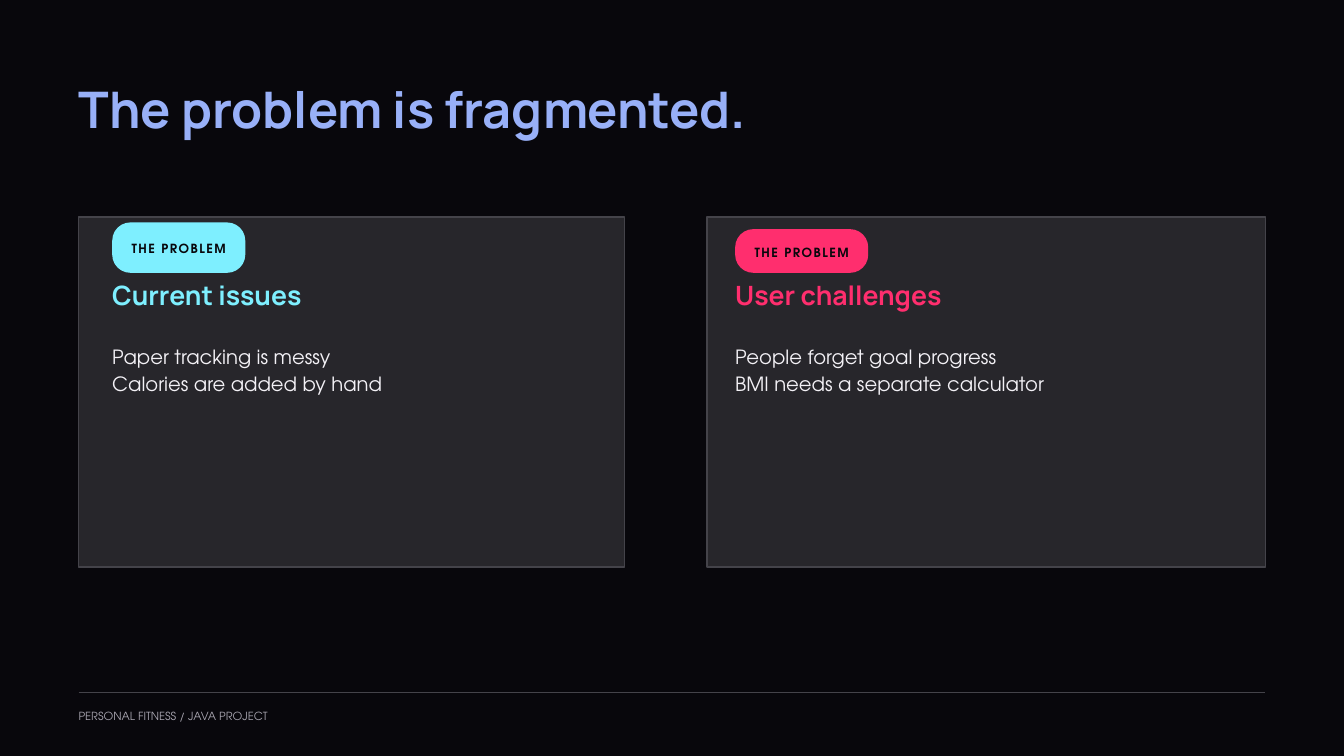
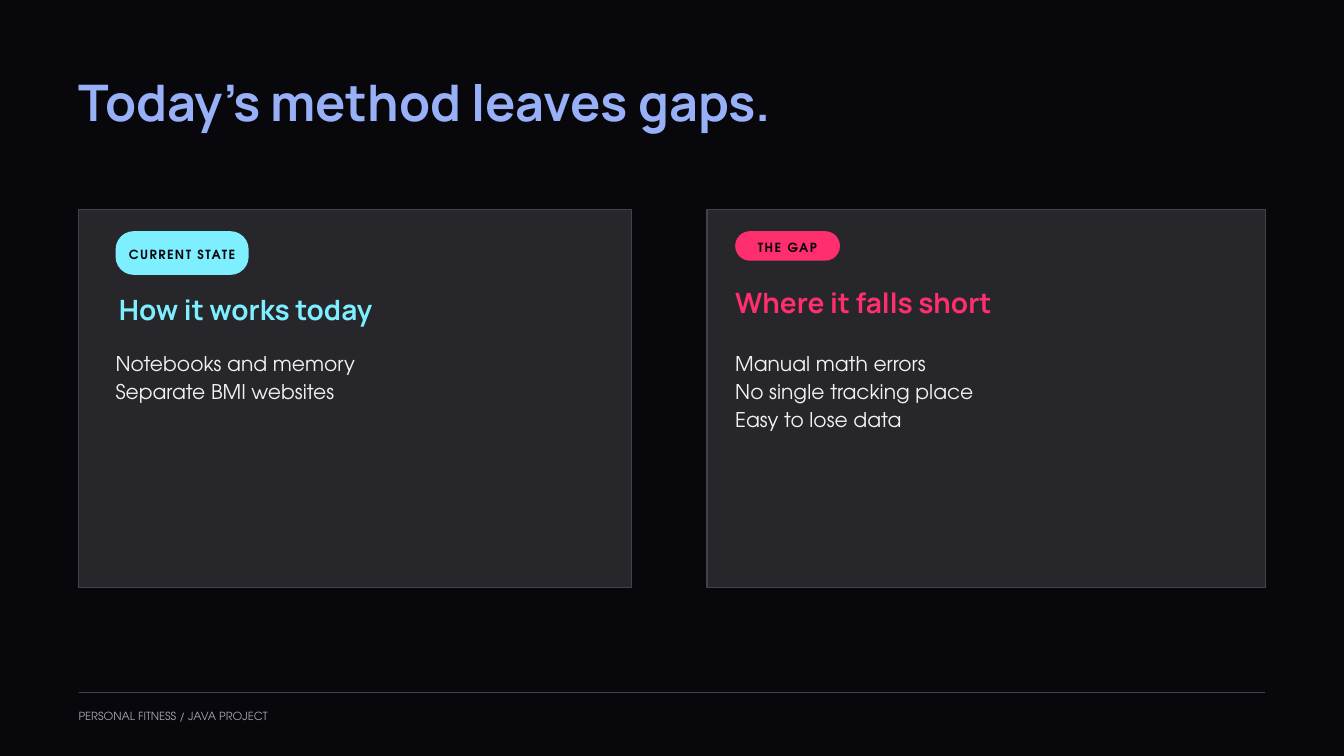
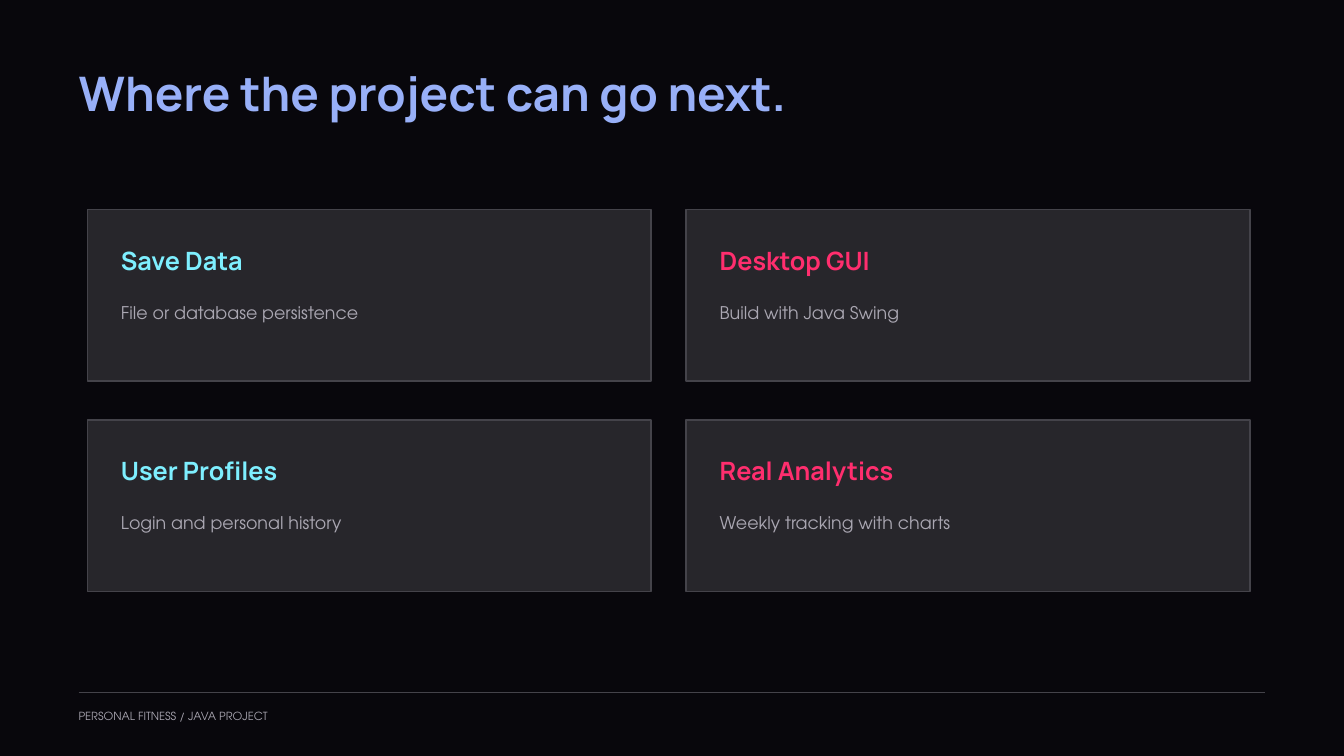
"""Build three dark slides on the problem, the gaps and the next steps of a fitness project."""
from dataclasses import dataclass

import pptx
import pptx.dml.color
import pptx.enum.shapes
import pptx.enum.text
import pptx.util
from lxml import etree
from pptx.util import Inches


@dataclass(frozen=True)
class TextStyle:
    font: str
    size: float
    leading: float
    color: str
    bold: bool = False
    tracking: float = 0


class Theme:
    background = "08070C"
    card = "27262B"
    rule = "44434A"
    title = "98B0F8"
    text = "F3F1F6"
    muted = "AAA7B2"
    cyan = "7EEFFF"
    pink = "FF2E6E"
    display = "Manrope"
    body = "TeX Gyre Adventor"
    card_line = 1.5
    footer_line = 0.75
    pill_radius = 0.27
    footer_style = TextStyle(body, 12, 16.2, muted)
    pill_style = TextStyle(body, 13.5, 18.9, background, True, 1.6)


SLIDE_WIDTH, SLIDE_HEIGHT = 20, 11.25
MARGIN = 1.17
FOOTER = "PERSONAL FITNESS / JAVA PROJECT"

COMPARISONS = [
    {
        "title": "The problem is fragmented.", "title_box": (1.27, 11.46, 0.87),
        "card_top": 3.23, "card_height": 5.21,
        "heading_size": 28.5, "heading_leading": 29.9, "heading_box": (6.25, 0.46),
        "body_size": 21, "body_leading": 29, "body_top": 5.08, "body_width": 6.25,
        "cards": [
            {"left": 1.17, "width": 8.12, "color": Theme.cyan,
             "label": "THE PROBLEM", "pill": (1.67, 3.31, 1.98, 0.75),
             "heading": "Current issues", "heading_at": (1.67, 4.21),
             "lines": ["Paper tracking is messy", "Calories are added by hand"]},
            {"left": 10.52, "width": 8.31, "color": Theme.pink,
             "label": "THE PROBLEM", "pill": (10.94, 3.41, 1.98, 0.65),
             "heading": "User challenges", "heading_at": (10.94, 4.21),
             "lines": ["People forget goal progress", "BMI needs a separate calculator"]},
        ],
    },
    {
        "title": "Today’s method leaves gaps.", "title_box": (1.17, 12.5, 0.87),
        "card_top": 3.12, "card_height": 5.62,
        "heading_size": 30, "heading_leading": 31.5, "heading_box": (6.35, 0.48),
        "body_size": 21.75, "body_leading": 30, "body_top": 5.17, "body_width": 6.46,
        "cards": [
            {"left": 1.17, "width": 8.23, "color": Theme.cyan,
             "label": "CURRENT STATE", "pill": (1.72, 3.44, 1.98, 0.65),
             "heading": "How it works today", "heading_at": (1.77, 4.41),
             "lines": ["Notebooks and memory", "Separate BMI websites"]},
            {"left": 10.52, "width": 8.31, "color": Theme.pink,
             "label": "THE GAP", "pill": (10.94, 3.44, 1.56, 0.44),
             "heading": "Where it falls short", "heading_at": (10.94, 4.31),
             "lines": ["Manual math errors", "No single tracking place", "Easy to lose data"]},
        ],
    },
]

NEXT_TITLE = "Where the project can go next."
NEXT_STEPS = [
    ("Save Data", "File or database persistence"),
    ("Desktop GUI", "Build with Java Swing"),
    ("User Profiles", "Login and personal history"),
    ("Real Analytics", "Weekly tracking with charts"),
]
GRID_LEFT, GRID_TOP = 1.3, 3.12
GRID_STEP_X, GRID_STEP_Y = 8.91, 3.13
STEP_WIDTH, STEP_HEIGHT = 8.39, 2.55


def rgb(color):
    return pptx.dml.color.RGBColor.from_string(color)


def write(frame, lines, style, align=None):
    frame.text = "\n".join(lines)
    for para in frame.paragraphs:
        para.alignment = align
        para.line_spacing = pptx.util.Pt(style.leading)
        for span in para.runs:
            span.font.name = style.font
            span.font.size = pptx.util.Pt(style.size)
            span.font.bold = style.bold
            span.font.color.rgb = rgb(style.color)
            if style.tracking:
                span._r.get_or_add_rPr().set("spc", str(int(style.tracking * 100)))


def set_insets(frame, inset):
    frame.margin_left = frame.margin_right = Inches(inset)
    frame.margin_top = frame.margin_bottom = Inches(inset)


def add_text(shapes, bounds, lines, style):
    box = shapes.add_textbox(*map(Inches, bounds))
    frame = box.text_frame
    set_insets(frame, 0)
    write(frame, lines, style)
    frame.word_wrap = True
    frame.auto_size = pptx.enum.text.MSO_AUTO_SIZE.SHAPE_TO_FIT_TEXT


def add_panel(shapes, kind, bounds, color):
    panel = shapes.add_shape(kind, *map(Inches, bounds))
    panel.shadow.inherit = False
    panel.fill.solid()
    panel.fill.fore_color.rgb = rgb(color)
    return panel


def add_card(shapes, bounds):
    card = add_panel(shapes, pptx.enum.shapes.MSO_SHAPE.RECTANGLE, bounds, Theme.card)
    card.line.color.rgb = rgb(Theme.rule)
    card.line.width = pptx.util.Pt(Theme.card_line)


def add_pill(shapes, bounds, label, color):
    pill = add_panel(shapes, pptx.enum.shapes.MSO_SHAPE.ROUNDED_RECTANGLE, bounds, color)
    pill.line.fill.background()
    pill.adjustments[0] = min(0.5, Theme.pill_radius / bounds[3])
    frame = pill.text_frame
    set_insets(frame, 0.06)
    frame.word_wrap = False
    frame.vertical_anchor = pptx.enum.text.MSO_ANCHOR.MIDDLE
    write(frame, [label], Theme.pill_style, pptx.enum.text.PP_ALIGN.CENTER)


def add_page(deck, title, title_box, size, leading):
    page = deck.slides.add_slide(deck.slide_layouts[6])
    page.background.fill.solid()
    page.background.fill.fore_color.rgb = rgb(Theme.background)
    rule = page.shapes.add_connector(
        pptx.enum.shapes.MSO_CONNECTOR.STRAIGHT,
        Inches(MARGIN), Inches(10.31), Inches(SLIDE_WIDTH - MARGIN), Inches(10.31))
    rule.line.color.rgb = rgb(Theme.rule)
    rule.line.width = pptx.util.Pt(Theme.footer_line)
    etree.SubElement(rule._element.spPr, pptx.oxml.ns.qn("a:effectLst"))
    add_text(page.shapes, (MARGIN, 10.53, 5.42, 0.2), [FOOTER], Theme.footer_style)
    title_style = TextStyle(Theme.display, size, leading, Theme.title, True)
    add_text(page.shapes, (MARGIN, *title_box), [title], title_style)
    return page


def add_comparison(deck, content):
    page = add_page(deck, content["title"], content["title_box"], 54, 56.7)
    body_style = TextStyle(Theme.body, content["body_size"], content["body_leading"], Theme.text)
    for card in content["cards"]:
        shapes = page.shapes.add_group_shape().shapes
        add_card(shapes, (card["left"], content["card_top"], card["width"], content["card_height"]))
        add_pill(shapes, card["pill"], card["label"], card["color"])
        heading_style = TextStyle(Theme.display, content["heading_size"],
                                  content["heading_leading"], card["color"], True)
        add_text(shapes, (*card["heading_at"], *content["heading_box"]),
                 [card["heading"]], heading_style)
        body_height = len(card["lines"]) * content["body_leading"] / 72
        add_text(shapes, (card["pill"][0], content["body_top"], content["body_width"], body_height),
                 card["lines"], body_style)


def add_next_steps(deck):
    page = add_page(deck, NEXT_TITLE, (1.06, 14.58, 0.82), 51, 53.5)
    detail_style = TextStyle(Theme.body, 18.75, 25.3, Theme.muted)
    for index, (heading, detail) in enumerate(NEXT_STEPS):
        row, column = divmod(index, 2)
        left = GRID_LEFT + column * GRID_STEP_X
        top = GRID_TOP + row * GRID_STEP_Y
        color = (Theme.cyan, Theme.pink)[column]
        shapes = page.shapes.add_group_shape().shapes
        add_card(shapes, (left, top, STEP_WIDTH, STEP_HEIGHT))
        add_text(shapes, (left + 0.5, top + 0.58, 6.46, 0.43), [heading],
                 TextStyle(Theme.display, 27, 28.4, color, True))
        add_text(shapes, (left + 0.5, top + 1.33, 6.77, 0.34), [detail], detail_style)


def main():
    deck = pptx.Presentation()
    deck.slide_width = Inches(SLIDE_WIDTH)
    deck.slide_height = Inches(SLIDE_HEIGHT)
    for content in COMPARISONS:
        add_comparison(deck, content)
    add_next_steps(deck)
    deck.save("out.pptx")


if __name__ == "__main__":
    main()
